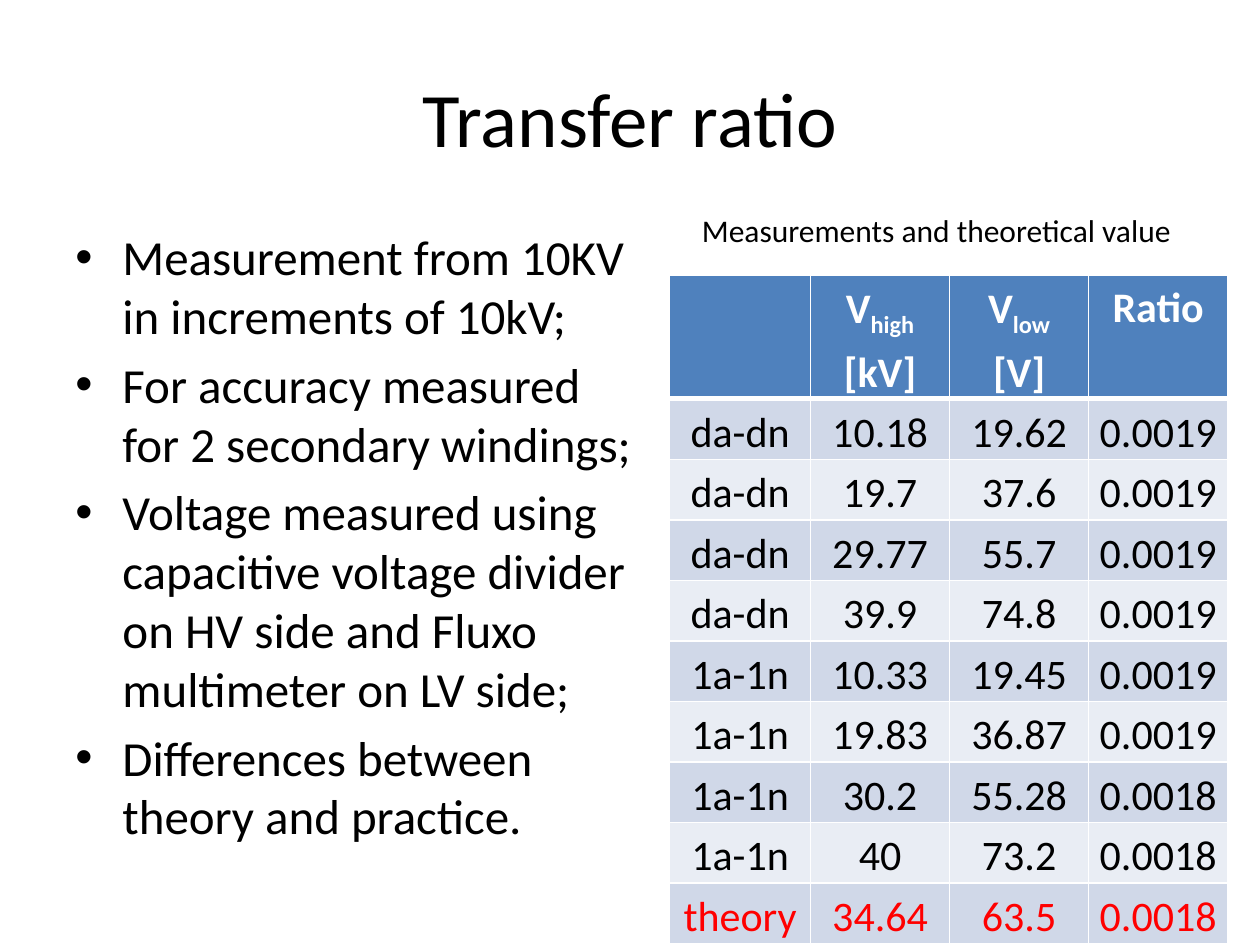
from dataclasses import dataclass

from lxml import etree
from pptx import Presentation
from pptx.dml.color import RGBColor
from pptx.enum.text import MSO_ANCHOR, PP_ALIGN
from pptx.oxml.ns import qn
from pptx.util import Cm, Pt

CENTER, LEFT = PP_ALIGN.CENTER, PP_ALIGN.LEFT
TOP, MIDDLE = MSO_ANCHOR.TOP, MSO_ANCHOR.MIDDLE


@dataclass(frozen=True)
class Theme:
    font: str = "Calibri"
    black: str = "000000"
    white: str = "FFFFFF"
    red: str = "FF0000"
    header: str = "4F81BD"
    bands: tuple = ("D0D8E8", "E9EDF4")
    title_size: int = 44
    body_size: int = 28
    table_size: int = 24
    caption_size: int = 18


THEME = Theme()

BULLETS = [
    "Measurement from 10KV in increments of 10kV;",
    "For accuracy measured for 2 secondary windings;",
    "Voltage measured using capacitive voltage divider on HV side and Fluxo multimeter on LV side;",
    "Differences between theory and practice.",
]
# Each heading: text, subscript, unit
HEADINGS = [("", "", ""), ("V", "high", " [kV]"), ("V", "low", " [V]"), ("Ratio", "", "")]
MEASUREMENTS = [
    ("da-dn", "10.18", "19.62", "0.0019"),
    ("da-dn", "19.7", "37.6", "0.0019"),
    ("da-dn", "29.77", "55.7", "0.0019"),
    ("da-dn", "39.9", "74.8", "0.0019"),
    ("1a-1n", "10.33", "19.45", "0.0019"),
    ("1a-1n", "19.83", "36.87", "0.0019"),
    ("1a-1n", "30.2", "55.28", "0.0018"),
    ("1a-1n", "40", "73.2", "0.0018"),
    ("theory", "34.64", "63.5", "0.0018"),
]


def write_text(paragraph, text, *, size, color=THEME.black, bold=False,
               align=LEFT, line_spacing=None, subscript=False):
    paragraph.alignment = align
    if line_spacing:
        paragraph.line_spacing = line_spacing
    run = paragraph.add_run()
    run.text = text
    run.font.name = THEME.font
    run.font.size = Pt(size)
    run.font.bold = bold
    run.font.color.rgb = RGBColor.from_string(color)
    if subscript:
        run.font._element.set("baseline", "-25000")


def add_text_frame(slide, box, anchor=TOP):
    frame = slide.shapes.add_textbox(*map(Cm, box)).text_frame
    frame.word_wrap = True
    frame.vertical_anchor = anchor
    return frame


def add_bullet(paragraph, indent):
    properties = paragraph._p.get_or_add_pPr()
    properties.set("marL", str(indent))
    properties.set("indent", str(-indent))
    etree.SubElement(properties, qn("a:buFont"), typeface="Arial")
    etree.SubElement(properties, qn("a:buChar"), char="•")


def add_title(slide, box):
    frame = add_text_frame(slide, box, MIDDLE)
    write_text(frame.paragraphs[0], "Transfer ratio", size=THEME.title_size, align=CENTER)


def add_bullet_list(slide, box):
    frame = add_text_frame(slide, box)
    for index, text in enumerate(BULLETS):
        paragraph = frame.add_paragraph() if index else frame.paragraphs[0]
        paragraph.space_before = Pt(0.2 * THEME.body_size)
        add_bullet(paragraph, Cm(0.95))
        write_text(paragraph, text, size=THEME.body_size)


def add_caption(slide, box):
    frame = add_text_frame(slide, box)
    write_text(frame.paragraphs[0], "Measurements and theoretical value",
               size=THEME.caption_size)


def style_cell(cell, fill, top_width=1, bottom_width=1):
    """Give a cell its white borders, fill and margins."""
    properties = cell._tc.get_or_add_tcPr()
    for side, width in (("L", 1), ("R", 1), ("T", top_width), ("B", bottom_width)):
        line = etree.SubElement(properties, qn(f"a:ln{side}"), w=str(Pt(width)))
        line_fill = etree.SubElement(line, qn("a:solidFill"))
        etree.SubElement(line_fill, qn("a:srgbClr"), val=THEME.white)
    cell.fill.solid()
    cell.fill.fore_color.rgb = RGBColor.from_string(fill)
    cell.margin_left = cell.margin_right = Cm(0.18)
    cell.margin_top = cell.margin_bottom = 0


def add_ratio_table(slide, box):
    left, top, width, height = box
    frame = slide.shapes.add_table(len(MEASUREMENTS) + 1, len(HEADINGS), *map(Cm, box))
    table = frame.table
    label_width = 2.84
    value_width = (width - label_width) / (len(HEADINGS) - 1)
    for index, column in enumerate(table.columns):
        column.width = Cm(value_width if index else label_width)
    for row in table.rows:
        row.height = Cm(1.22)
    frame.height = Cm(height)

    cell_format = dict(size=THEME.table_size, align=CENTER, line_spacing=1.15)
    for column, parts in enumerate(HEADINGS):
        cell = table.cell(0, column)
        style_cell(cell, THEME.header, bottom_width=3)
        for position, part in enumerate(parts):
            if part:
                write_text(cell.text_frame.paragraphs[0], part, color=THEME.white,
                           bold=True, subscript=position == 1, **cell_format)
    for row, values in enumerate(MEASUREMENTS, start=1):
        color = THEME.red if values[0] == "theory" else THEME.black
        for column, value in enumerate(values):
            cell = table.cell(row, column)
            style_cell(cell, THEME.bands[(row - 1) % 2], top_width=3 if row == 1 else 1)
            cell.vertical_anchor = MIDDLE
            write_text(cell.text_frame.paragraphs[0], value, color=color, **cell_format)


def main():
    presentation = Presentation()
    presentation.slide_width, presentation.slide_height = Cm(25.4), Cm(19.05)
    slide = presentation.slides.add_slide(presentation.slide_layouts[6])
    add_title(slide, (1.27, 0.76, 22.86, 3.18))
    add_bullet_list(slide, (1.27, 4.45, 12.04, 13.49))
    add_ratio_table(slide, (13.5, 5.54, 11.25, 13.34))
    add_caption(slide, (13.9, 4.12, 10.6, 1.02))
    presentation.save("out.pptx")


if __name__ == "__main__":
    main()
